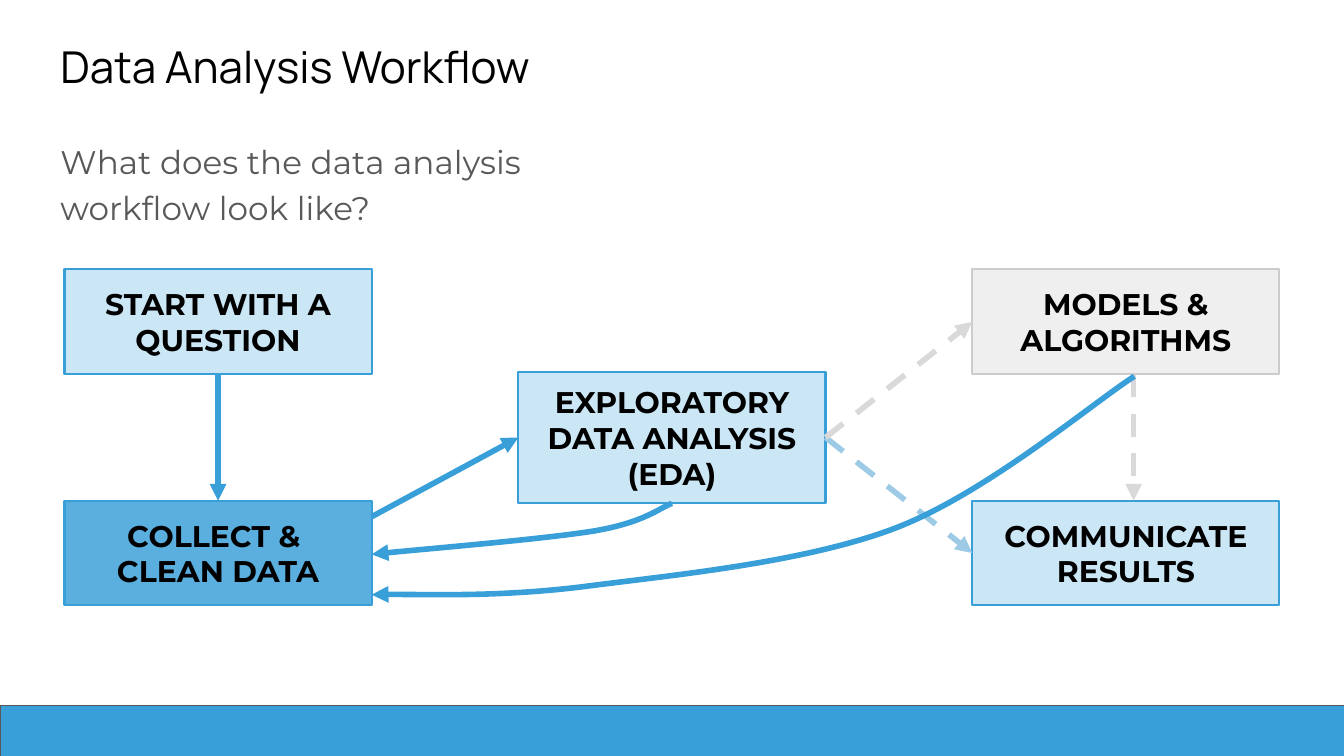
import pptx
import pptx.dml.color
import pptx.enum.dml
import pptx.enum.shapes
import pptx.enum.text
import pptx.oxml.ns
import pptx.util
import lxml.etree as etree
from dataclasses import dataclass
from typing import Optional

WIDTH, HEIGHT = 20, 11.25
BLUE, PALE_BLUE, GREY, BLACK = "399FD9", "9DCBE5", "D9D9D9", "000000"
BOX_W = 4.57
LEFT, COL_PITCH = 0.96, 6.755
MID_TOP, ROW_PITCH = 4.79, 1.72
TOP, LEFT_SIDE, BOTTOM, RIGHT = range(4)


@dataclass
class Box:
    col: int
    row: int
    lines: list[str]
    fill: str = BLUE
    alpha: Optional[int] = 26
    line: str = BLUE
    height: float = 1.56


@dataclass
class Arrow:
    """Ends are either (box name, side) or a plain (x, y) point."""
    begin: tuple
    end: tuple
    color: str = BLUE
    dashed: bool = False


BOXES = {
    "question": Box(0, 0, ["START WITH A QUESTION"]),
    "collect": Box(0, 2, ["COLLECT & ", "CLEAN DATA"], alpha=83),
    "eda": Box(1, 1, ["EXPLORATORY DATA ANALYSIS (EDA)"], height=1.96),
    "models": Box(2, 0, ["MODELS & ALGORITHMS"], "EFEFEF", None, "CCCCCC"),
    "results": Box(2, 2, ["COMMUNICATE RESULTS"]),
}
ARROWS = [
    Arrow(("eda", RIGHT), ("results", LEFT_SIDE), PALE_BLUE, True),
    Arrow(("question", BOTTOM), ("collect", TOP)),
    Arrow((16.87, 5.58), (16.87, 7.45), GREY, True),
    Arrow((5.53, 7.69), ("eda", LEFT_SIDE)),
    Arrow(("eda", RIGHT), ("models", LEFT_SIDE), GREY, True),
]
# Each curve is a start point followed by three Bezier points per segment.
CURVES = [
    [(16.88, 5.6), (16.28, 5.98), (14.68, 7.34), (13.32, 7.86),
     (11.95, 8.38), (9.98, 8.56), (8.68, 8.73),
     (7.38, 8.89), (6.05, 8.83), (5.53, 8.85)],
    [(10, 7.49), (9.81, 7.56), (9.6, 7.77), (8.85, 7.9),
     (8.11, 8.02), (6.08, 8.19), (5.53, 8.25)],
]


def rgb(color: str) -> pptx.dml.color.RGBColor:
    return pptx.dml.color.RGBColor.from_string(color)


def inches(*values: float) -> list[int]:
    return [pptx.util.Inches(v) for v in values]


def add_xml(parent, tag: str, **attrs: str):
    return etree.SubElement(parent, pptx.oxml.ns.qn(tag), attrs)


def set_margins(tf, margin: float) -> None:
    tf.word_wrap = True
    tf.auto_size = pptx.enum.text.MSO_AUTO_SIZE.NONE
    tf.margin_left = tf.margin_top = tf.margin_right = tf.margin_bottom = pptx.util.Inches(margin)


def add_run(p, text: str, size: float, font: str, color: str, bold: bool = False) -> None:
    r = p.add_run()
    r.text = text
    r.font.size, r.font.name, r.font.bold = pptx.util.Pt(size), font, bold
    r.font.color.rgb = rgb(color)


def fill_placeholder(s, at: tuple, text: str, size: float, font: str, color: str):
    s.left, s.top, s.width, s.height = inches(*at)
    tf = s.text_frame
    set_margins(tf, 0.2)
    tf.vertical_anchor = pptx.enum.text.MSO_ANCHOR.TOP
    p = tf.paragraphs[0]
    p.alignment = pptx.enum.text.PP_ALIGN.LEFT
    p.space_before = pptx.util.Pt(0)
    add_run(p, text, size, font, color)
    return p


def add_rect(slide, at: tuple, fill: str, line: str, weight: float):
    s = slide.shapes.add_shape(pptx.enum.shapes.MSO_SHAPE.RECTANGLE, *inches(*at))
    s.shadow.inherit = False
    s.fill.solid()
    s.fill.fore_color.rgb = rgb(fill)
    s.line.color.rgb = rgb(line)
    s.line.width = pptx.util.Pt(weight)
    return s


def add_box(slide, box: Box):
    left = LEFT + box.col * COL_PITCH
    top = MID_TOP + box.row * ROW_PITCH - box.height / 2
    s = add_rect(slide, (left, top, BOX_W, box.height), box.fill, box.line, 2.25)
    if box.alpha is not None:
        color = s._element.spPr.find(pptx.oxml.ns.qn("a:solidFill"))[0]
        add_xml(color, "a:alpha", val=str(box.alpha * 1000))
    tf = s.text_frame
    set_margins(tf, 0.1)
    tf.vertical_anchor = pptx.enum.text.MSO_ANCHOR.MIDDLE
    for i, text in enumerate(box.lines):
        p = tf.add_paragraph() if i else tf.paragraphs[0]
        p.alignment = pptx.enum.text.PP_ALIGN.CENTER
        add_run(p, text, 32, "Montserrat", BLACK, True)
    return s


def style_arrow(s, color: str, dashed: bool = False) -> None:
    s.line.color.rgb = rgb(color)
    s.line.width = pptx.util.Pt(6)
    if dashed:
        s.line.dash_style = pptx.enum.dml.MSO_LINE.DASH
    add_xml(s._element.spPr.find(pptx.oxml.ns.qn("a:ln")), "a:tailEnd", type="triangle")


def add_arrow(slide, arrow: Arrow, shapes: dict) -> None:
    points = [(0, 0) if end[0] in shapes else end for end in (arrow.begin, arrow.end)]
    s = slide.shapes.add_connector(
        pptx.enum.shapes.MSO_CONNECTOR.STRAIGHT, *inches(*points[0], *points[1]))
    for end, connect in ((arrow.begin, s.begin_connect), (arrow.end, s.end_connect)):
        if end[0] in shapes:
            connect(shapes[end[0]], end[1])
    style_arrow(s, arrow.color, arrow.dashed)
    add_xml(s._element.spPr, "a:effectLst")


def add_curve(slide, points: list) -> None:
    """Draw the points as a polyline, then turn each three lines into one Bezier."""
    start, *rest = [inches(*point) for point in points]
    builder = slide.shapes.build_freeform(*start)
    builder.add_line_segments(rest, close=False)
    s = builder.convert_to_shape()
    s.shadow.inherit = False
    s.fill.background()
    style_arrow(s, BLUE)
    outline = next(s._element.iter(pptx.oxml.ns.qn("a:path")))
    lines = outline.findall(pptx.oxml.ns.qn("a:lnTo"))
    for i in range(0, len(lines), 3):
        bezier = add_xml(outline, "a:cubicBezTo")
        for line in lines[i:i + 3]:
            bezier.append(line[0])
            outline.remove(line)


def main() -> None:
    prs = pptx.Presentation()
    prs.slide_width, prs.slide_height = inches(WIDTH, HEIGHT)
    slide = prs.slides.add_slide(prs.slide_layouts[1])

    fill_placeholder(slide.shapes.title, (0.7, 0.39, 9.52, 1.25),
                     "Data Analysis Workflow", 47, "Manrope", BLACK)
    p = fill_placeholder(slide.placeholders[1], (0.7, 1.83, 9.3, 0.86),
                         "What does the data analysis workflow look like?",
                         35, "Montserrat", "595959")
    p.line_spacing = 1.15
    pPr = p._p.get_or_add_pPr()
    pPr.set("marL", "0")
    pPr.set("indent", "0")
    add_xml(pPr, "a:buNone")

    band = HEIGHT / 15
    add_rect(slide, (0, HEIGHT - band, WIDTH, band), BLUE, "595959", 0.75)
    shapes = {name: add_box(slide, box) for name, box in BOXES.items()}
    for arrow in ARROWS:
        add_arrow(slide, arrow, shapes)
    for points in CURVES:
        add_curve(slide, points)
    prs.save("out.pptx")


if __name__ == "__main__":
    main()
